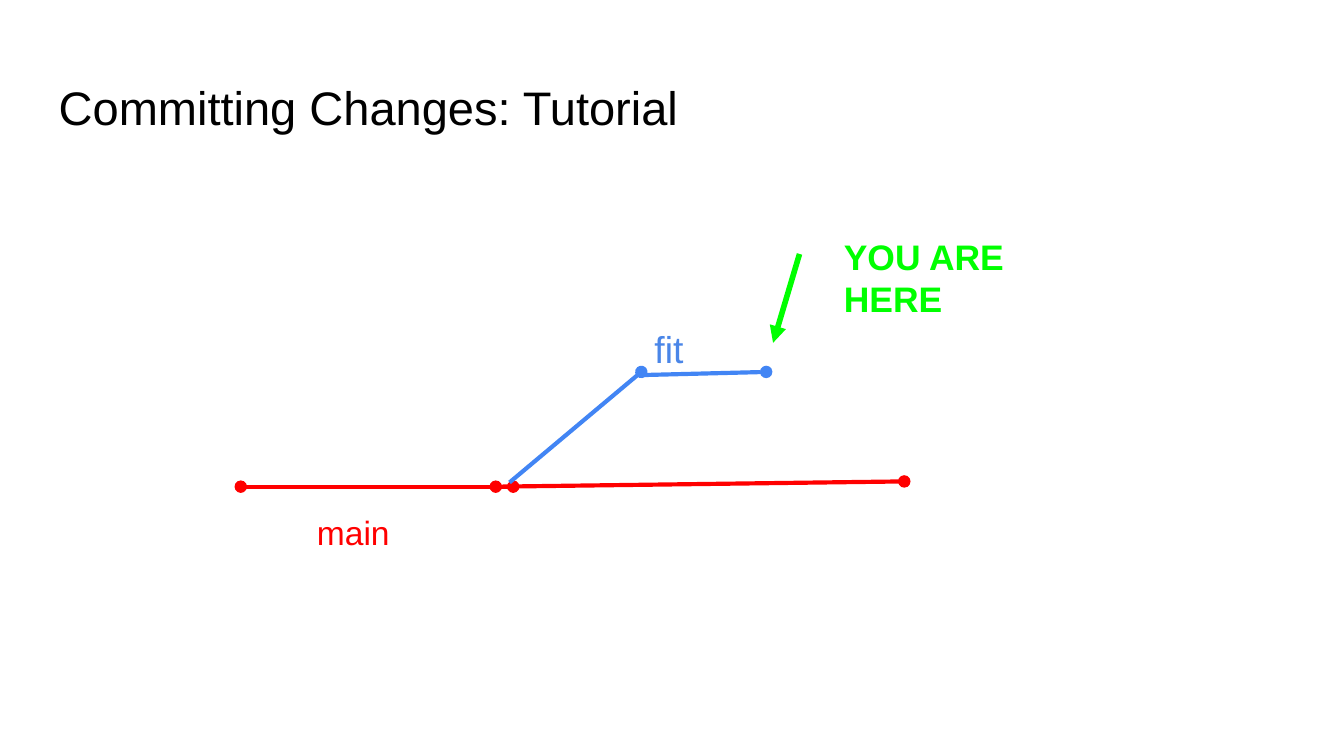
import dataclasses

import lxml.etree
import pptx
import pptx.dml.color
import pptx.enum.shapes
import pptx.oxml.ns
import pptx.util

Cm = pptx.util.Cm
Pt = pptx.util.Pt
RGB = pptx.dml.color.RGBColor


@dataclasses.dataclass(frozen=True)
class Theme:
    font: str = "Arial"
    ink: RGB = RGB(0, 0, 0)
    main: RGB = RGB(0xFF, 0, 0)
    fit: RGB = RGB(0x42, 0x85, 0xF4)
    fit_label: RGB = RGB(0x4A, 0x86, 0xE8)
    here: RGB = RGB(0, 0xFF, 0)
    title_size: float = 25.2
    main_size: float = 18
    fit_size: float = 20
    here_size: float = 19
    branch_width: float = 2.25
    pointer_width: float = 3


theme = Theme()


def add_label(wording, box, size, colour, bold=False):
    frame = slide.shapes.add_textbox(*map(Cm, box)).text_frame
    frame.word_wrap = True
    frame.margin_left = frame.margin_right = Cm(0.25)
    frame.margin_top = frame.margin_bottom = Cm(0.25)
    frame.text = wording
    font = frame.paragraphs[0].runs[0].font
    font.name = theme.font
    font.size = Pt(size)
    font.bold = bold
    font.color.rgb = colour


def add_line(start, end, colour, width, head, tail):
    connector = slide.shapes.add_connector(
        pptx.enum.shapes.MSO_CONNECTOR.STRAIGHT, *map(Cm, start + end)
    )
    connector.line.color.rgb = colour
    connector.line.width = Pt(width)
    outline = connector.line._get_or_add_ln()
    for tag, ending in (("a:headEnd", head), ("a:tailEnd", tail)):
        lxml.etree.SubElement(outline, pptx.oxml.ns.qn(tag), type=ending)
    lxml.etree.SubElement(
        connector._element.spPr, pptx.oxml.ns.qn("a:effectLst")
    )


deck = pptx.Presentation()
deck.slide_width = Cm(25.4)
deck.slide_height = Cm(14.29)
slide = deck.slides.add_slide(deck.slide_layouts[6])

branches = [
    ((4.55, 9.2), (9.7, 9.2), theme.main, "oval"),
    ((9.37, 9.2), (17.09, 9.1), theme.main, "oval"),
    ((9.63, 9.12), (12.12, 7.03), theme.fit, "none"),
    ((12.12, 7.09), (14.48, 7.03), theme.fit, "none"),
]
for start, end, colour, head in branches:
    add_line(start, end, colour, theme.branch_width, head, "oval")

add_line((15.11, 4.8), (14.61, 6.48), theme.here, theme.pointer_width,
         "none", "triangle")

add_label("Committing Changes: Tutorial", (0.86, 1.24, 23.67, 1.6),
          theme.title_size, theme.ink)
add_label("main", (5.74, 9.42, 4.67, 0.69), theme.main_size, theme.main)
add_label("fit", (12.12, 5.92, 2.49, 1.12), theme.fit_size, theme.fit_label)
add_label("YOU ARE HERE", (15.7, 4.19, 5.16, 1.6),
          theme.here_size, theme.here, bold=True)

deck.save("out.pptx")
